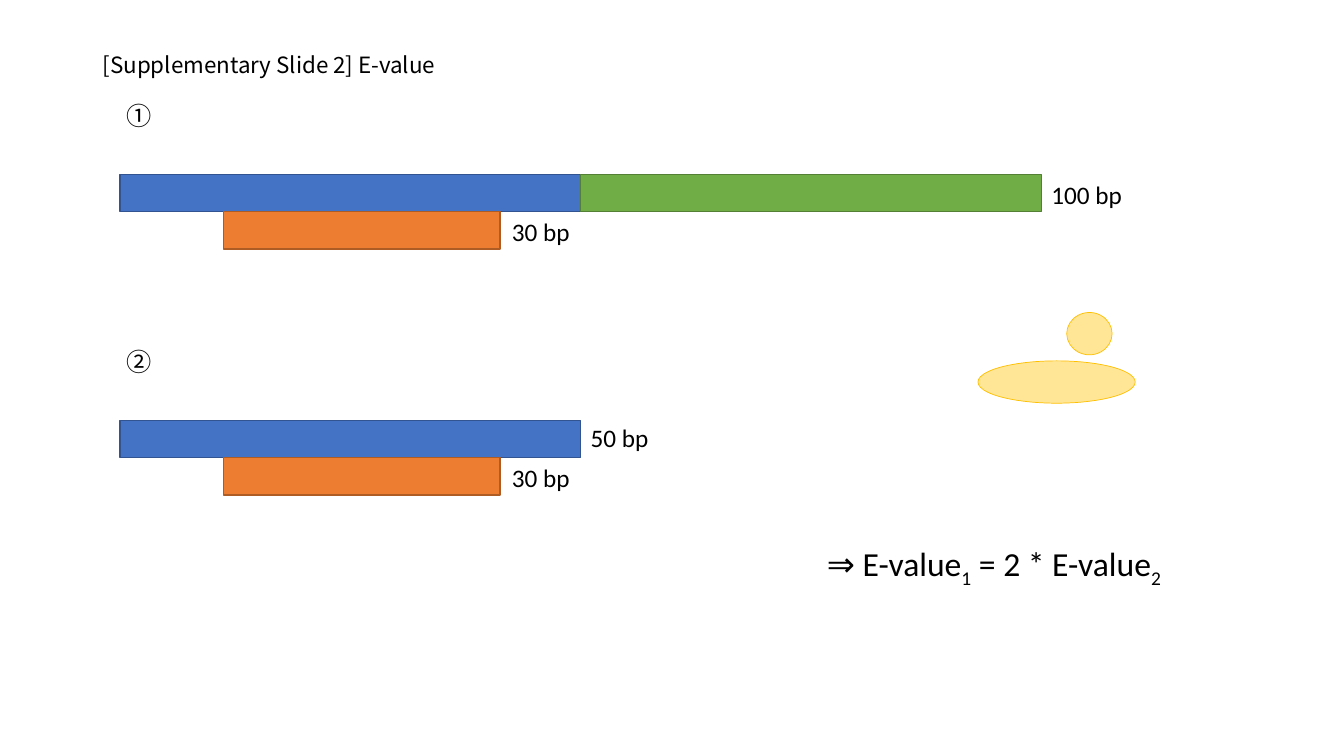
from lxml import etree
from pptx import Presentation
from pptx.dml.color import RGBColor
from pptx.enum import shapes, text
from pptx.oxml.ns import qn
from pptx.util import Inches, Pt

BLACK = RGBColor(0x00, 0x00, 0x00)
BLUE, BLUE_EDGE = RGBColor(0x44, 0x72, 0xC4), RGBColor(0x32, 0x54, 0x91)
ORANGE, ORANGE_EDGE = RGBColor(0xED, 0x7D, 0x31), RGBColor(0xAF, 0x5C, 0x24)
GREEN, GREEN_EDGE = RGBColor(0x70, 0xAD, 0x47), RGBColor(0x53, 0x80, 0x35)
GOLD = RGBColor(0xFF, 0xC0, 0x00)
LATIN, CJK = "Calibri", "Noto Sans CJK KR"

TITLE = "[Supplementary Slide 2] E-value"
FORMULA = [("⇒ E-value", 0), ("1", -25), (" = 2 * E-value", 0), ("2", -25)]
CASES = [
    {"mark": "①", "top": 1.73, "extended": True, "length": "100 bp", "label_dy": 0},
    {"mark": "②", "top": 4.17, "extended": False, "length": "50 bp", "label_dy": -0.03},
]
QUERY_LENGTH = "30 bp"
ELLIPSES = [(9.7, 3.58, 1.56, 0.42), (10.58, 3.1, 0.45, 0.42)]

LEFT, HALF_W, BAR_H = 1.19, 4.57, 0.37
QUERY_LEFT, QUERY_W = 2.22, 2.74
LABEL_W, LABEL_H = 1.06, 0.4

prs = Presentation()
prs.slide_width, prs.slide_height = Inches(13.33), Inches(7.5)
s = prs.slides.add_slide(prs.slide_layouts[6])


def add_text(runs, x, y, w, h, size=18, font=LATIN, wrap=True, inset=True):
    tb = s.shapes.add_textbox(Inches(x), Inches(y), Inches(w), Inches(h))
    tf = tb.text_frame
    tf.word_wrap = wrap
    tf.auto_size = text.MSO_AUTO_SIZE.SHAPE_TO_FIT_TEXT
    if not inset:
        tf.margin_left = tf.margin_top = tf.margin_right = tf.margin_bottom = 0
    p = tf.paragraphs[0]
    for words, base in [(runs, 0)] if isinstance(runs, str) else runs:
        r = p.add_run()
        r.text = words
        r.font.size = Pt(size)
        r.font.name = font
        r.font.color.rgb = BLACK
        rpr = r.font._element
        rpr.find(qn("a:latin")).addnext(rpr.makeelement(qn("a:ea"), {"typeface": font}))
        if base:
            rpr.set("baseline", str(base * 1000))


def add_filled(kind, x, y, w, h, fill, edge, weight=1, alpha=None):
    sp = s.shapes.add_shape(kind, Inches(x), Inches(y), Inches(w), Inches(h))
    sp.shadow.inherit = False
    sp.fill.solid()
    sp.fill.fore_color.rgb = fill
    sp.line.color.rgb = edge
    sp.line.width = Pt(weight)
    if alpha:
        clr = sp._element.spPr.find(qn("a:solidFill")).find(qn("a:srgbClr"))
        etree.SubElement(clr, qn("a:alpha")).set("val", str(alpha * 1000))


RECT, OVAL = shapes.MSO_SHAPE.RECTANGLE, shapes.MSO_SHAPE.OVAL

add_text(TITLE, 0.92, 0.46, 3.63, 0.37, size=16, font=CJK)

for case in CASES:
    top = case["top"]
    query_top = top + BAR_H
    end = LEFT + HALF_W
    add_text(case["mark"], 1.16, top - 0.78, 0.45, LABEL_H, font=CJK, wrap=False)
    add_filled(RECT, LEFT, top, HALF_W, BAR_H, BLUE, BLUE_EDGE)
    add_filled(RECT, QUERY_LEFT, query_top, QUERY_W, BAR_H, ORANGE, ORANGE_EDGE)
    if case["extended"]:
        add_filled(RECT, end, top, HALF_W, BAR_H, GREEN, GREEN_EDGE)
        end += HALF_W
    add_text(case["length"], end, top + case["label_dy"], LABEL_W, LABEL_H)
    add_text(QUERY_LENGTH, QUERY_LEFT + QUERY_W + 0.02, query_top, LABEL_W, LABEL_H)

for x, y, w, h in ELLIPSES:
    add_filled(OVAL, x, y, w, h, GOLD, GOLD, weight=0.5, alpha=41)

add_text(FORMULA, 8.2, 5.39, 4.81, 0.4, size=24, inset=False)

prs.save("out.pptx")
